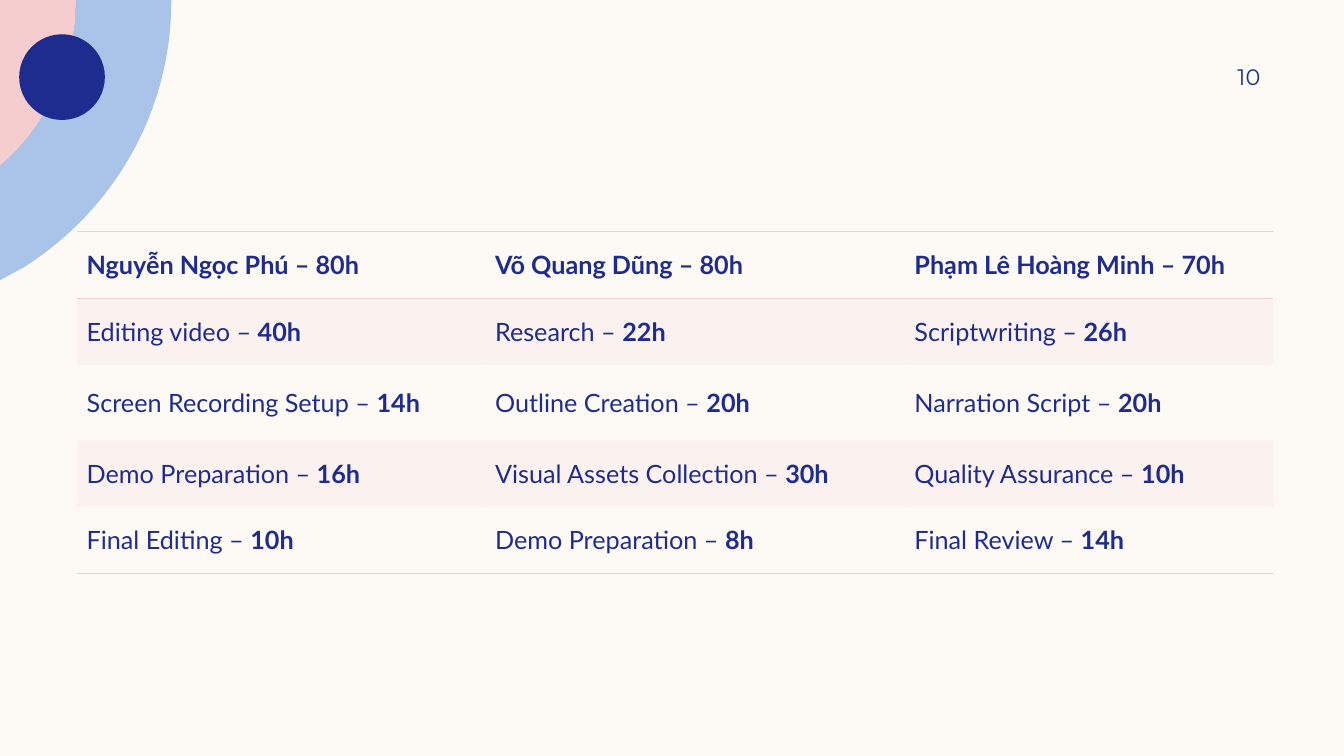
from dataclasses import dataclass

from lxml import etree
from pptx import Presentation, util as u
from pptx.dml.color import RGBColor
from pptx.enum import shapes, text
from pptx.oxml.ns import qn

COLORS = {
    "cream": "FDFAF6",
    "blue": "AAC3E8",
    "pink": "F5CDCE",
    "navy": "1F2C8F",
}
NO_STYLE = "{2D5ABB26-0587-4C30-8999-92F81FD0307C}"
CURVE_STEPS = 24

Point = tuple[float, float]


@dataclass
class Member:
    name: str
    width: float
    tasks: list[tuple[str, int]]


@dataclass
class Band:
    color: str
    outline: list[Point]


MEMBERS = [
    Member("Nguyễn Ngọc Phú", 4.05, [
        ("Editing video", 40), ("Screen Recording Setup", 14),
        ("Demo Preparation", 16), ("Final Editing", 10)]),
    Member("Võ Quang Dũng", 4.16, [
        ("Research", 22), ("Outline Creation", 20),
        ("Visual Assets Collection", 30), ("Demo Preparation", 8)]),
    Member("Phạm Lê Hoàng Minh", 3.66, [
        ("Scriptwriting", 26), ("Narration Script", 20),
        ("Quality Assurance", 10), ("Final Review", 14)]),
]
ROW_HEIGHTS = [0.66, 0.66, 0.75, 0.66, 0.66]


def rgb(name: str) -> RGBColor:
    return RGBColor.from_string(COLORS[name])


def curve(a: Point, b: Point, c: Point, d: Point) -> list[Point]:
    points = []
    for i in range(CURVE_STEPS + 1):
        t = i / CURVE_STEPS
        weights = ((1 - t) ** 3, 3 * t * (1 - t) ** 2, 3 * t * t * (1 - t), t ** 3)
        points.append((sum(w * p[0] for w, p in zip(weights, (a, b, c, d))),
                       sum(w * p[1] for w, p in zip(weights, (a, b, c, d)))))
    return points


INNER_EDGE = [(0.75, 0)] + curve((0.74, 0.22), (0.68, 0.73), (0.46, 1.19), (0.11, 1.54)) + [(0, 1.64)]
OUTER_EDGE = [(1.7, 0)] + curve((1.7, 0.01), (1.7, 1.12), (1.12, 2.09), (0.24, 2.65)) + [(0, 2.78)]
BANDS = [
    Band("blue", OUTER_EDGE + INNER_EDGE[::-1]),
    Band("pink", [(0, 0)] + INNER_EDGE),
]


def paint(sp, color: str) -> None:
    sp.fill.solid()
    sp.fill.fore_color.rgb = rgb(color)
    sp.line.fill.background()
    sp.shadow.inherit = False


def add_band(s, band: Band) -> None:
    points = [(u.Inches(x), u.Inches(y)) for x, y in band.outline]
    builder = s.shapes.build_freeform(*points[0])
    builder.add_line_segments(points[1:], close=True)
    paint(builder.convert_to_shape(), band.color)


def add_run(p, content: str, *, size: float = 18, font: str = "Lato",
            bold: bool = False, color: str = "navy") -> None:
    r = p.add_run()
    r.text = content
    r.font.size = u.Pt(size)
    r.font.name = font
    r.font.bold = bold
    r.font.color.rgb = rgb(color)


def add_border(cell, side: str) -> None:
    ln = etree.SubElement(cell._tc.get_or_add_tcPr(), qn(f"a:{side}"), w=str(u.Pt(1)))
    fill = etree.SubElement(ln, qn("a:solidFill"))
    etree.SubElement(fill, qn("a:srgbClr"), val=COLORS["pink"])


def tint(cell) -> None:
    cell.fill.solid()
    cell.fill.fore_color.rgb = rgb("pink")
    color = cell._tc.tcPr.find(qn("a:solidFill"))[0]
    etree.SubElement(color, qn("a:alpha"), val="20000")


def format_cell(cell, row: int) -> None:
    cell.vertical_anchor = text.MSO_ANCHOR.MIDDLE
    if row == 0:
        add_border(cell, "lnT")
    if row in (0, len(ROW_HEIGHTS) - 1):
        add_border(cell, "lnB")
    if row % 2:
        tint(cell)
    else:
        cell.fill.background()


def add_workload(s) -> None:
    frame = s.shapes.add_table(
        len(ROW_HEIGHTS), len(MEMBERS), u.Inches(0.76), u.Inches(2.3),
        u.Inches(sum(m.width for m in MEMBERS)), u.Inches(sum(ROW_HEIGHTS)))
    table = frame.table
    table.horz_banding = False
    table._tbl.tblPr.find(qn("a:tableStyleId")).text = NO_STYLE
    for row, height in zip(table.rows, ROW_HEIGHTS):
        row.height = u.Inches(height)
    for col, member in enumerate(MEMBERS):
        table.columns[col].width = u.Inches(member.width)
        total = sum(hours for _, hours in member.tasks)
        for row, (label, hours) in enumerate([(member.name, total)] + member.tasks):
            cell = table.cell(row, col)
            format_cell(cell, row)
            p = cell.text_frame.paragraphs[0]
            add_run(p, f"{label} – ", bold=row == 0)
            add_run(p, f"{hours}h", bold=True)


def add_page_number(s, number: int) -> None:
    sp = s.shapes.add_textbox(u.Inches(11.33), u.Inches(0.5), u.Inches(1.17), u.Inches(0.52))
    tf = sp.text_frame
    tf.word_wrap = True
    tf.vertical_anchor = text.MSO_ANCHOR.MIDDLE
    tf.margin_right = 0
    p = tf.paragraphs[0]
    p.alignment = text.PP_ALIGN.RIGHT
    add_run(p, str(number), size=16, font="Montserrat")


def main() -> None:
    prs = Presentation()
    prs.slide_width, prs.slide_height = u.Inches(13.33), u.Inches(7.5)
    s = prs.slides.add_slide(prs.slide_layouts[6])
    s.background.fill.solid()
    s.background.fill.fore_color.rgb = rgb("cream")
    for band in BANDS:
        add_band(s, band)
    dot = s.shapes.add_shape(shapes.MSO_SHAPE.OVAL, u.Inches(0.19), u.Inches(0.34),
                             u.Inches(0.85), u.Inches(0.85))
    paint(dot, "navy")
    add_workload(s)
    add_page_number(s, 10)
    prs.save("out.pptx")


if __name__ == "__main__":
    main()
